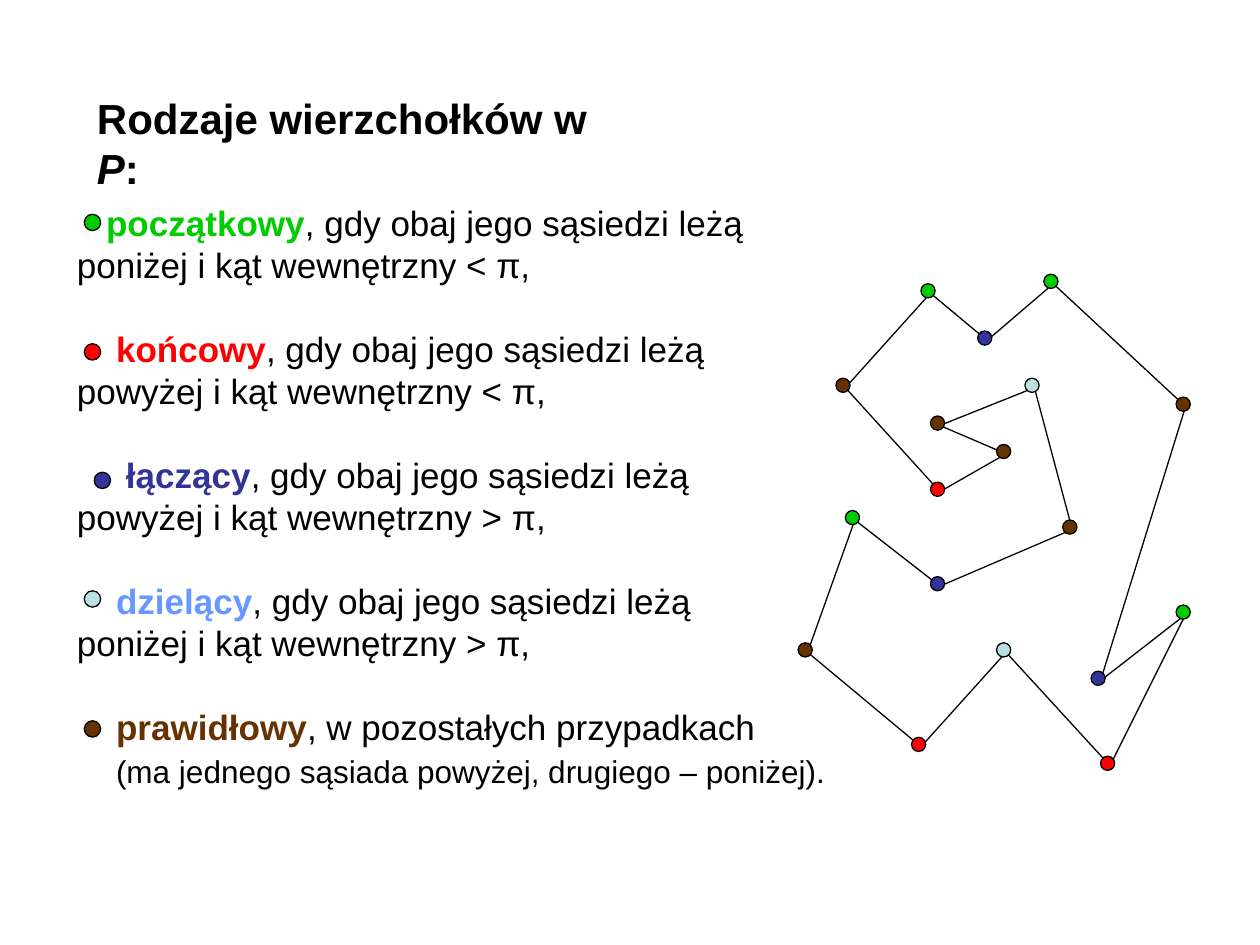
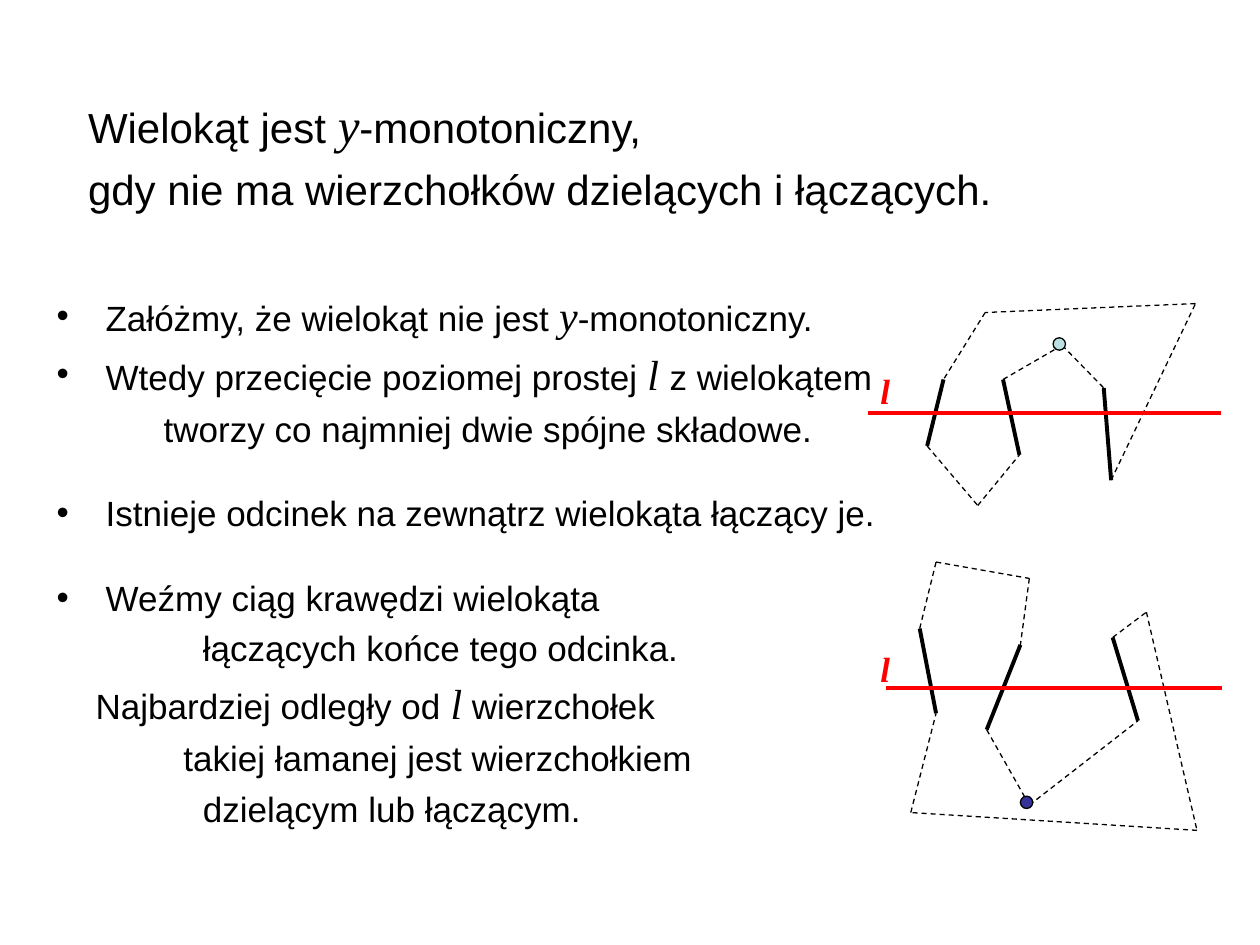
"""Build two slides on vertex kinds and y-monotone polygons."""
import lxml.etree
import pptx
import pptx.dml.color
import pptx.enum.dml
import pptx.enum.shapes
import pptx.enum.text
import pptx.oxml.ns
import pptx.util

Cm, Pt = pptx.util.Cm, pptx.util.Pt
qn = pptx.oxml.ns.qn

THEME = {
    "ink": "000000", "cut": "FF0000", "start": "00CC00", "end": "FF0000",
    "merge": "333399", "split": "BBE0E3", "plain": "663300", "word": "6699FF",
    "thin": 0.75, "thick": 2.25, "lead": 1.2,
}
SANS = {"name": "Arial", "size": Pt(20), "bold": False, "italic": False}
MATH = {"name": "Times New Roman", "size": Pt(24), "bold": False, "italic": True}
FONTS = {
    "text": SANS,
    "term": {**SANS, "bold": True},
    "note": {**SANS, "size": Pt(18)},
    "math": MATH,
    "mark": {**MATH, "size": Pt(20), "bold": True},
    "head": {**SANS, "size": Pt(24)},
    "bold": {**SANS, "size": Pt(24), "bold": True},
    "slant": {**SANS, "size": Pt(24), "bold": True, "italic": True},
    "sign": {**MATH, "size": Pt(28)},
}

KINDS_HEAD = [{"runs": [("Rodzaje wierzchołków w ", "bold"), ("P", "slant"), (":", "bold")]}]
KINDS = [
    ("start", "start", "początkowy", ", gdy obaj jego sąsiedzi leżą poniżej i kąt wewnętrzny < π,",
     None, 0.59, (1.7, 4.32)),
    ("end", "end", "końcowy", ", gdy obaj jego sąsiedzi leżą",
     "powyżej i kąt wewnętrzny < π,", 0.79, (1.7, 6.93)),
    ("merge", "merge", "łączący", ", gdy obaj jego sąsiedzi leżą",
     "powyżej i kąt wewnętrzny > π,", 0.99, (1.9, 9.52)),
    ("split", "word", "dzielący", ", gdy obaj jego sąsiedzi leżą",
     "poniżej i kąt wewnętrzny > π,", 0.79, (1.7, 11.91)),
    ("plain", "plain", "prawidłowy", ", w pozostałych przypadkach", None, 0.79, (1.7, 14.53)),
]
KINDS_NOTE = "(ma jednego sąsiada powyżej, drugiego – poniżej)."
CELL = 7.62 / 40
CORNER = (16.28, 5.72)
RING = [
    (13, 1, "start"), (19, 6, "merge"), (26, 0, "start"), (40, 13, "plain"),
    (31, 42, "merge"), (40, 35, "start"), (32, 51, "end"), (21, 39, "split"),
    (12, 49, "end"), (0, 39, "plain"), (5, 25, "start"), (14, 32, "merge"),
    (28, 26, "plain"), (24, 11, "split"), (14, 15, "plain"), (21, 18, "plain"),
    (14, 22, "end"), (4, 11, "plain"),
]

PROOF_HEAD = [
    {"runs": [("Wielokąt jest ", "head"), ("y", "sign"), ("-monotoniczny,", "head")]},
    {"runs": [("gdy nie ma wierzchołków dzielących i łączących.", "head")], "gap": 6},
]
PROOF = [
    {"runs": [("Załóżmy, że wielokąt nie jest ", "text"), ("y", "math"),
              ("-monotoniczny.", "text")], "dot": True},
    {"runs": [("Wtedy przecięcie poziomej prostej ", "text"), ("l ", "math"),
              ("z wielokątem", "text")], "dot": True, "gap": 4.5},
    {"runs": [("tworzy co najmniej dwie spójne składowe.", "text")], "left": 2.16, "gap": 5},
    {"runs": [("Istnieje odcinek na zewnątrz wielokąta łączący je.", "text")],
     "dot": True, "gap": 24.2},
    {"runs": [("Weźmy ciąg krawędzi wielokąta", "text")], "dot": True, "gap": 24.2},
    {"runs": [("łączących końce tego odcinka.", "text")], "left": 2.95, "gap": 5},
    {"runs": [("Najbardziej odległy od ", "text"), ("l", "math"), (" wierzchołek", "text")],
     "left": 0.79, "gap": 5},
    {"runs": [("takiej łamanej jest wierzchołkiem", "text")], "left": 2.56, "gap": 5},
    {"runs": [("dzielącym lub łączącym.", "text")], "left": 2.95, "gap": 5},
]
CUTS = [
    {"ring": [(19.02, 7.65), (18.69, 8.99), (19.71, 10.19), (20.55, 9.17), (20.22, 7.65),
              (21.41, 6.96), (22.25, 7.82), (22.4, 9.68), (24.1, 6.12), (19.86, 6.3)],
     "thick": (0, 3, 6), "cut": ((17.5, 8.33), (24.61, 8.33)),
     "dot": (21.23, 6.81, "split"), "mark": (17.5, 7.32)},
    {"ring": [(18.87, 14.38), (18.54, 12.67), (18.87, 11.33), (20.75, 11.66), (20.57, 13),
              (19.89, 14.71), (20.75, 16.23), (22.94, 14.53), (22.43, 12.85),
              (23.11, 12.34), (24.13, 16.74), (18.36, 16.38)],
     "thick": (0, 4, 7), "cut": ((17.86, 13.87), (24.64, 13.87)),
     "dot": (20.57, 16.05, "merge"), "mark": (17.5, 12.93)},
]


def paint(name):
    return pptx.dml.color.RGBColor.from_string(THEME[name])


def put(shape, *box):
    for key, size in zip(("left", "top", "width", "height"), box):
        setattr(shape, key, Cm(size))


def bullet(par):
    props = par._p.get_or_add_pPr()
    props.set("marL", str(Cm(0.99)))
    props.set("indent", str(Cm(-0.99)))
    lxml.etree.SubElement(props, qn("a:buFont")).set("typeface", "Arial")
    lxml.etree.SubElement(props, qn("a:buChar")).set("char", "•")


def write(shape, lines, wrap=True):
    frame = shape.text_frame
    form = {"word_wrap": wrap, "auto_size": pptx.enum.text.MSO_AUTO_SIZE.NONE,
            "vertical_anchor": pptx.enum.text.MSO_ANCHOR.TOP}
    for key, value in form.items():
        setattr(frame, key, value)
    for i, line in enumerate(lines):
        par = frame.add_paragraph() if i else frame.paragraphs[0]
        tall = max(FONTS[run[1]]["size"].pt for run in line["runs"])
        form = {"alignment": pptx.enum.text.PP_ALIGN.LEFT,
                "space_before": Pt(line.get("gap", 0)),
                "line_spacing": Pt(line.get("pitch", tall * THEME["lead"]))}
        for key, value in form.items():
            setattr(par, key, value)
        if line.get("dot"):
            bullet(par)
        elif "left" in line:
            par._p.get_or_add_pPr().set("indent", str(Cm(line["left"])))
        for text, font, *tint in line["runs"]:
            run = par.add_run()
            run.text = text
            for key, value in FONTS[font].items():
                setattr(run.font, key, value)
            run.font.color.rgb = paint(tint[0] if tint else "ink")


def head(slide, lines, *box):
    put(slide.shapes.title, *box)
    write(slide.shapes.title, lines, wrap=False)


def note(slide, lines, *box, wrap=True):
    write(slide.shapes.add_textbox(*map(Cm, box)), lines, wrap)


def edge(slide, start, stop, width="thin", tint="ink", dash=False):
    kind = pptx.enum.shapes.MSO_CONNECTOR.STRAIGHT
    link = slide.shapes.add_connector(kind, *map(Cm, (*start, *stop)))
    link.line.color.rgb = paint(tint)
    link.line.width = Pt(THEME[width])
    if dash:
        link.line.dash_style = pptx.enum.dml.MSO_LINE.DASH
    lxml.etree.SubElement(link._element.spPr, qn("a:effectLst"))


def dot(slide, x, y, size, tint):
    kind = pptx.enum.shapes.MSO_SHAPE.OVAL
    disc = slide.shapes.add_shape(kind, *map(Cm, (x, y, size, size)))
    disc.shadow.inherit = False
    disc.fill.solid()
    disc.fill.fore_color.rgb = paint(tint)
    disc.line.color.rgb = paint("ink")
    disc.line.width = Pt(THEME["thin"])


def sides(ring):
    return enumerate(zip(ring, ring[1:] + ring[:1]))


def kinds(slide):
    head(slide, KINDS_HEAD, 1.7, 1.73, 11.46, 1.27)
    spots = [(CORNER[0] + x * CELL, CORNER[1] + y * CELL) for x, y, _ in RING]
    for _, ends in sides(spots):
        edge(slide, *ends)
    for (x, y), (_, _, kind) in zip(spots, RING):
        dot(slide, x - CELL, y - CELL, 1.5 * CELL, kind)
    lines = []
    for _, tint, term, text, more, left, _ in KINDS:
        lines.append({"runs": [(term, "term", tint), (text, "text")],
                      "left": left, "gap": 24 if lines else 0})
        if more:
            lines.append({"runs": [(more, "text")]})
    lines.append({"runs": [(KINDS_NOTE, "note")], "left": 0.79, "pitch": 24})
    note(slide, lines, 1.3, 3.94, 16, 12.12)
    for kind, *_, spot in KINDS:
        dot(slide, *spot, 0.33, kind)


def proof(slide):
    head(slide, PROOF_HEAD, 1.52, 1.78, 18.72, 2.67)
    for plan in CUTS:
        for i, ends in sides(plan["ring"]):
            bold = i in plan["thick"]
            edge(slide, *ends, "thick" if bold else "thin", dash=not bold)
        edge(slide, *plan["cut"], "thick", "cut")
        x, y, kind = plan["dot"]
        dot(slide, x, y, 0.25, kind)
        note(slide, [{"runs": [("l", "mark", "cut")]}], *plan["mark"], 0.69, 1.12, wrap=False)
    note(slide, PROOF, 0.89, 5.72, 18.01, 11.13)


def main():
    deck = pptx.Presentation()
    deck.slide_width, deck.slide_height = Cm(25.4), Cm(19.05)
    for draw in (kinds, proof):
        draw(deck.slides.add_slide(deck.slide_layouts[5]))
    deck.save("out.pptx")


if __name__ == "__main__":
    main()
